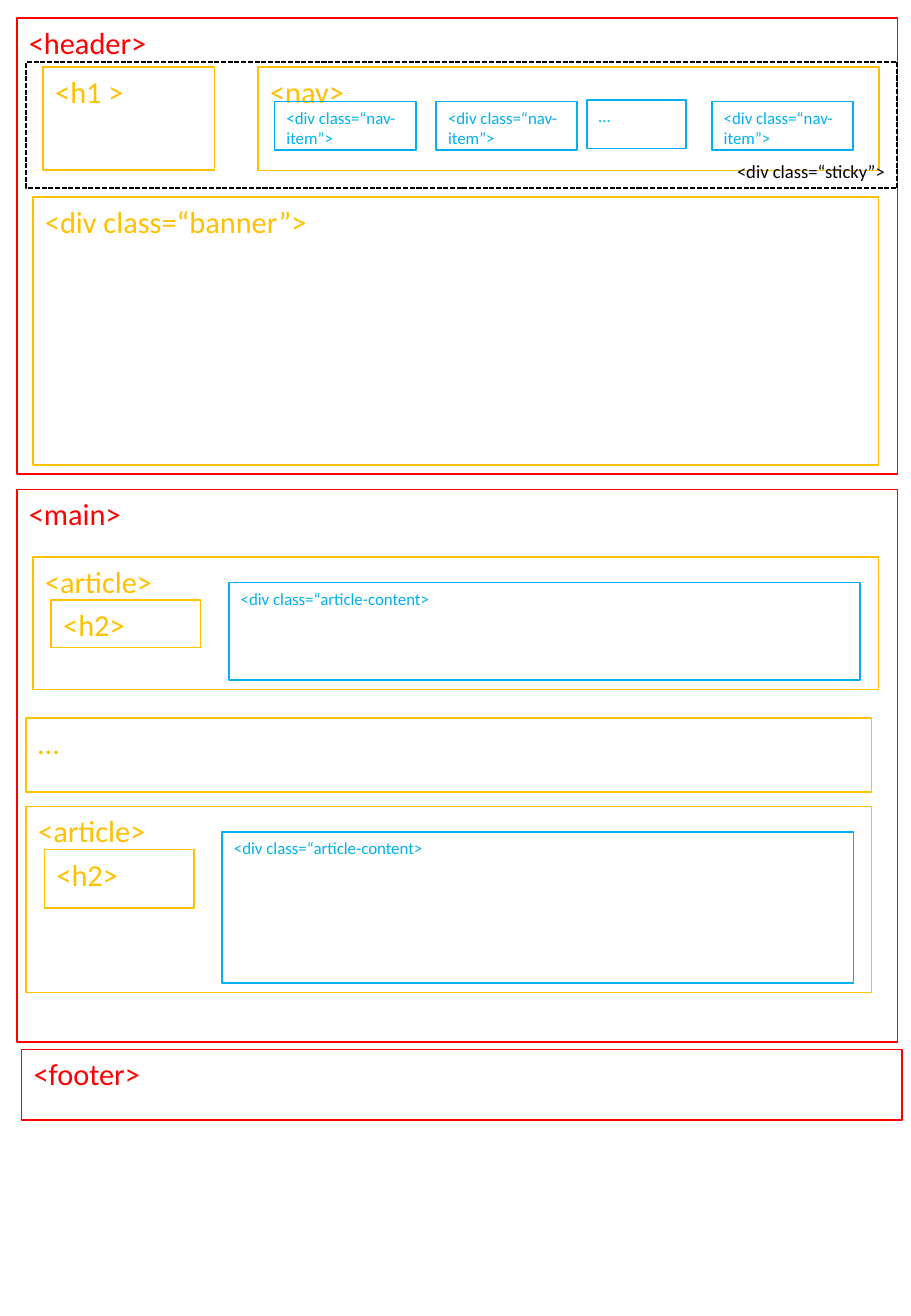
"""Builds a wireframe of a web page whose boxes are labelled with their HTML tags."""
from pptx import Presentation
from pptx.dml.color import RGBColor
from pptx.enum.dml import MSO_LINE
from pptx.enum.shapes import MSO_SHAPE
from pptx.enum.text import MSO_ANCHOR, PP_ALIGN
from pptx.util import Pt

SECTION, BLOCK, DETAIL, STICKY = "FF0000", "FFC000", "00B0F0", "000000"
SECTION_WIDTH, BLOCK_WIDTH = 522, 501.1


def color(hex_code):
    return RGBColor.from_string(hex_code)


class Wireframe:
    font = "Calibri"
    line_width = 1

    def __init__(self, slide):
        self.slide = slide

    def box(self, label, left, top, width, height, tint, size=18):
        outline = self.slide.shapes.add_shape(
            MSO_SHAPE.RECTANGLE, Pt(left), Pt(top), Pt(width), Pt(height))
        outline.shadow.inherit = False
        outline.fill.background()
        outline.line.color.rgb = color(tint)
        outline.line.width = Pt(self.line_width)
        frame = outline.text_frame
        frame.word_wrap = True
        frame.vertical_anchor = MSO_ANCHOR.TOP
        frame.text = label
        paragraph = frame.paragraphs[0]
        paragraph.alignment = PP_ALIGN.LEFT
        font = paragraph.runs[0].font
        font.name = self.font
        font.size = Pt(size)
        font.color.rgb = color(tint)
        return outline

    def section(self, label, left, top, height):
        self.box(label, left, top, SECTION_WIDTH, height, SECTION)

    def block(self, label, left, top, width, height):
        self.box(label, left, top, width, height, BLOCK)

    def detail(self, label, left, top, width, height):
        self.box(label, left, top, width, height, DETAIL, 10)

    def article(self, left, top, height, heading_height):
        self.block("<article>", left, top, BLOCK_WIDTH, height)
        self.block("<h2>", left + 10.8, top + 25.5, 88.6, heading_height)
        self.detail("<div class=“article-content>", left + 116, top + 15.1,
                    374.4, height - 20.5)

    def sticky(self, label, left, top, width, height):
        overlay = self.box(label, left, top, width, height, STICKY, 11)
        overlay.line.dash_style = MSO_LINE.SQUARE_DOT
        overlay.text_frame.vertical_anchor = MSO_ANCHOR.BOTTOM
        overlay.text_frame.paragraphs[0].alignment = PP_ALIGN.RIGHT


presentation = Presentation()
presentation.slide_width, presentation.slide_height = Pt(540), Pt(780)
blank_layout = presentation.slide_layouts[6]
page = Wireframe(presentation.slides.add_slide(blank_layout))

page.section("<header>", 10, 10.8, 270)
page.section("<main>", 10, 290.2, 327.6)

page.block("<h1 >", 25.6, 39.6, 101.5, 61.2)
page.block("<div class=“banner”>", 19.6, 116.6, BLOCK_WIDTH, 159.1)
page.block("<nav>", 153, 39.8, 367.9, 61.2)
for item_left in (162.7, 258.5, 421.9):
    page.detail("<div class=“nav-item”>", item_left, 60.2, 83.7, 28.8)
page.detail("…", 347.8, 59.3, 59, 28.8)

page.article(19.6, 330.2, 78.5, 28.1)
page.article(15.6, 478.1, 110.2, 34.6)
page.block("…", 15.6, 425.5, BLOCK_WIDTH, 43.9)

page.sticky("<div class=“sticky”>", 15.6, 36.7, 516.2, 74.9)
page.section("<footer>", 12.8, 622, 41.8)

presentation.save("out.pptx")
